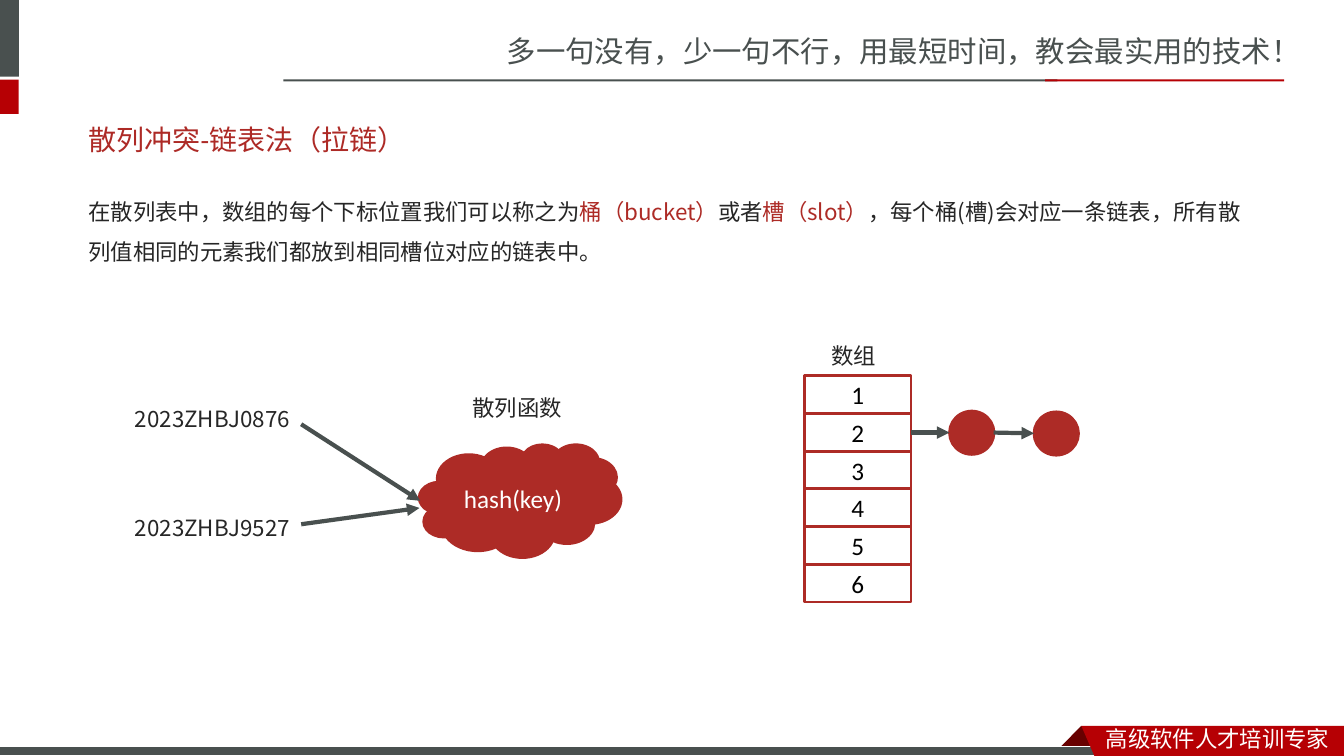
from lxml import etree
from pptx import Presentation
from pptx.dml.color import RGBColor
from pptx.enum.shapes import MSO_CONNECTOR, MSO_SHAPE
from pptx.enum.text import MSO_ANCHOR, PP_ALIGN
from pptx.oxml.ns import qn
from pptx.util import Cm, Pt

RECTANGLE = MSO_SHAPE.RECTANGLE
OVAL = MSO_SHAPE.OVAL
CLOUD = MSO_SHAPE.CLOUD
STRAIGHT = MSO_CONNECTOR.STRAIGHT
TOP = MSO_ANCHOR.TOP
MIDDLE = MSO_ANCHOR.MIDDLE
CENTER = PP_ALIGN.CENTER

GREY = "49504F"
RED = "B60004"
DARK_RED = "680000"
TITLE_RED = "AD2A26"
BRICK = "AD2B26"
INK = "262626"
BLACK = "000000"
WHITE = "FFFFFF"
HEADER_FONT = "Noto Sans CJK SC"
BODY_FONT = "Noto Sans CJK JP"
LATIN_FONT = "Calibri"


def color(value):
    return RGBColor.from_string(value)


class Slide:
    def __init__(self, page):
        self.page = page

    def paint(self, shape, fill, line, width):
        shape.shadow.inherit = False
        if fill:
            shape.fill.solid()
            shape.fill.fore_color.rgb = color(fill)
        else:
            shape.fill.background()
        if line:
            shape.line.color.rgb = color(line)
            shape.line.width = Pt(width)
        else:
            shape.line.fill.background()

    def span(self, para, text, size, font, ink):
        span = para.add_run()
        span.text = text
        span.font.size = Pt(size)
        span.font.name = font
        span.font.color.rgb = color(ink)
        east_asian = etree.SubElement(span.font._element, qn("a:ea"))
        east_asian.set("typeface", HEADER_FONT if font == LATIN_FONT else font)

    def shape(self, kind, area, fill=None, line=None, width=2, text="", ink=BLACK):
        shape = self.page.shapes.add_shape(kind, *map(Cm, area))
        self.paint(shape, fill, line, width)
        if text:
            shape.text_frame.vertical_anchor = MIDDLE
            para = shape.text_frame.paragraphs[0]
            para.alignment = CENTER
            self.span(para, text, 18, LATIN_FONT, ink)
        return shape

    def outline(self, points, fill):
        start, *rest = [(Cm(x), Cm(y)) for x, y in points]
        builder = self.page.shapes.build_freeform(*start)
        builder.add_line_segments(rest, close=True)
        self.paint(builder.convert_to_shape(), fill, None, 0)

    def text(self, area, spans, size=16, font=BODY_FONT, spacing=1.0, anchor=TOP):
        box = self.page.shapes.add_textbox(*map(Cm, area))
        box.text_frame.word_wrap = True
        box.text_frame.vertical_anchor = anchor
        para = box.text_frame.paragraphs[0]
        para.line_spacing = spacing
        for text, ink in spans:
            self.span(para, text, size, font, ink)

    def arrow(self, start, end):
        arrow = self.page.shapes.add_connector(STRAIGHT, *map(Cm, start + end))
        arrow.line.color.rgb = color(GREY)
        arrow.line.width = Pt(3)
        etree.SubElement(arrow.line._get_or_add_ln(), qn("a:tailEnd")).set("type", "triangle")
        etree.SubElement(arrow._element.spPr, qn("a:effectLst"))


def draw_frame(slide):
    slide.text((12.52, 0.71, 21.34, 1.19),
               [("多一句没有，少一句不行，用最短时间，教会最实用的技术！", GREY)], 21, HEADER_FONT)
    for area, fill in [
        ((0, 0, 0.48, 1.93), GREY),
        ((0, 2.01, 0.47, 0.86), RED),
        ((7.14, 2, 19.51, 0.05), GREY),
        ((26.34, 2, 6.02, 0.05), RED),
    ]:
        slide.shape(RECTANGLE, area, fill)
    slide.outline([(27.25, 18.29), (27.81, 18.85), (27.79, 18.87),
                   (26.72, 18.87), (26.7, 18.85)], DARK_RED)
    slide.shape(RECTANGLE, (0, 18.82, 27.91, 0.23), GREY, WHITE, 0.75)
    slide.outline([(27.25, 18.29), (33.87, 18.29), (33.87, 19.05), (27.58, 19.05)], RED)
    slide.text((27.62, 18.16, 6.24, 0.89), [("高级软件人才培训专家", WHITE)], 16, HEADER_FONT)


def draw_explanation(slide):
    slide.text((1.98, 2.79, 29.72, 1.45), [("散列冲突-链表法（拉链）", TITLE_RED)],
               20, LATIN_FONT, anchor=MIDDLE)
    slide.text((1.98, 4.52, 29.72, 2.49), [
        ("在散列表中，数组的每个下标位置我们可以称之为", INK),
        ("桶（bucket）", BRICK),
        ("或者", INK),
        ("槽（slot）", BRICK),
        ("，每个桶(槽)会对应一条链表，所有散列值相同的元素我们都放到相同槽位对应的链表中。", INK),
    ], spacing=1.5)


def draw_hash_table(slide):
    left, top, width, height = 20.27, 9.47, 2.69, 0.95
    for index in range(6):
        slide.shape(RECTANGLE, (left, top + index * height, width, height),
                    line=BRICK, text=str(index + 1))
    for label, area in [
        ("数组", (20.7, 8.15, 2.41, 1.32)),
        ("2023ZHBJ0876", (3.15, 9.75, 6.55, 1.32)),
        ("2023ZHBJ9527", (3.15, 12.5, 6.55, 1.32)),
        ("散列函数", (11.66, 9.47, 4.32, 1.32)),
    ]:
        slide.text(area, [(label, INK)], spacing=1.5)
    slide.shape(CLOUD, (10.57, 11.2, 5.08, 2.84), BRICK, BRICK, text="hash(key)", ink=WHITE)
    for node_left, node_top in [(23.93, 10.36), (26.06, 10.38)]:
        slide.shape(OVAL, (node_left, node_top, 1.12, 1.09), BRICK, BRICK)
    for start, end in [
        ((7.59, 10.69), (10.59, 12.62)),
        ((7.59, 13.21), (10.57, 12.8)),
        ((22.96, 10.9), (23.93, 10.9)),
        ((25.04, 10.9), (26.06, 10.92)),
    ]:
        slide.arrow(start, end)


def main():
    deck = Presentation()
    deck.slide_width = Cm(33.87)
    deck.slide_height = Cm(19.05)
    slide = Slide(deck.slides.add_slide(deck.slide_layouts[6]))
    draw_frame(slide)
    draw_explanation(slide)
    draw_hash_table(slide)
    deck.save("out.pptx")


if __name__ == "__main__":
    main()
